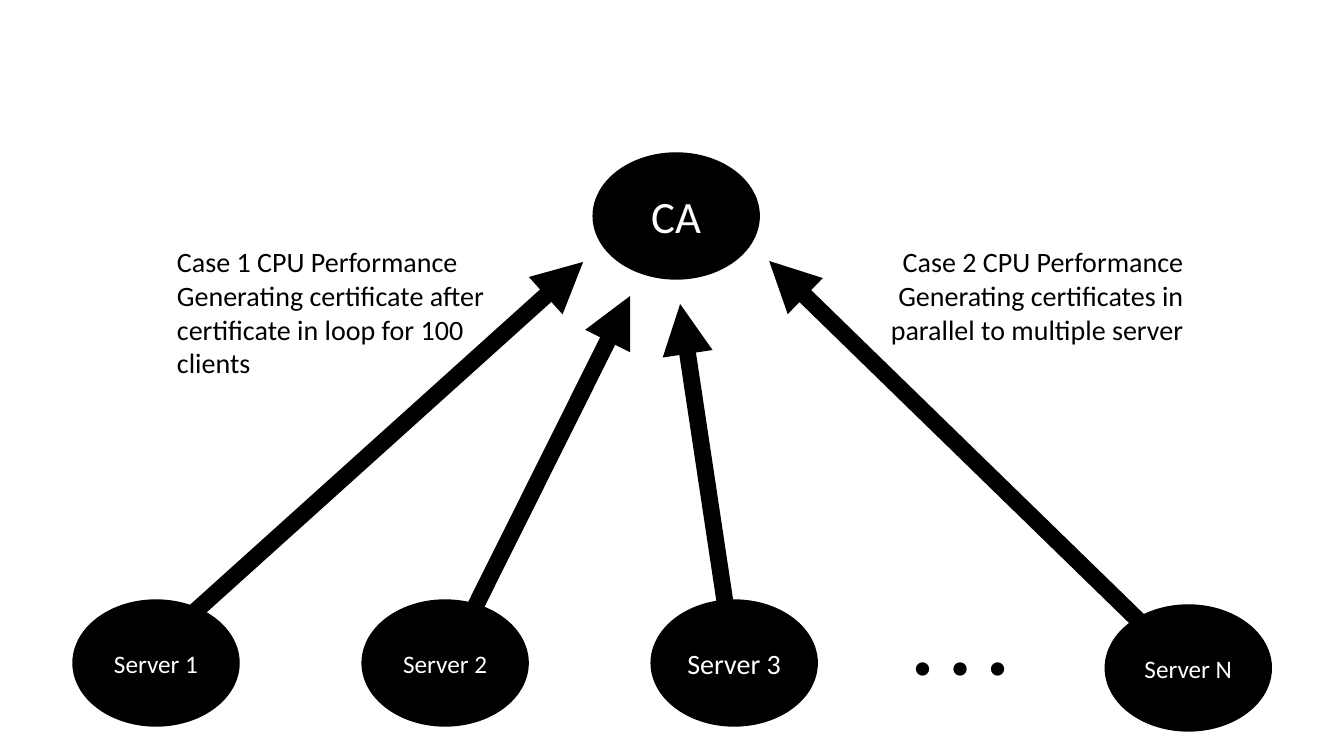
from lxml import etree
from pptx import Presentation
from pptx.dml.color import RGBColor
from pptx.enum.shapes import MSO_CONNECTOR, MSO_SHAPE
from pptx.enum.text import MSO_ANCHOR, MSO_AUTO_SIZE, PP_ALIGN
from pptx.oxml.ns import qn
from pptx.util import Emu, Inches, Pt

BLACK = RGBColor(0, 0, 0)
WHITE = RGBColor(255, 255, 255)
OVAL = MSO_SHAPE.OVAL
STRAIGHT = MSO_CONNECTOR.STRAIGHT
MIDDLE = MSO_ANCHOR.MIDDLE
GROW = MSO_AUTO_SIZE.SHAPE_TO_FIT_TEXT
LEFT, CENTER, RIGHT = PP_ALIGN.LEFT, PP_ALIGN.CENTER, PP_ALIGN.RIGHT

PIXELS_PER_INCH = 100.8
NODE_WIDTH, NODE_HEIGHT = 166, 126
SERVER_LEFT, SERVER_TOP, SERVER_STEP = 73, 600, 289
ARROWS = [
    ((159, 644), (583, 262)),
    ((445, 667), (630, 296)),
    ((734, 663), (680, 304)),
    ((1187, 668), (769, 261)),
]


def px(length):
    """Turn picture pixels into EMU."""
    return Emu(round(length * Inches(1) / PIXELS_PER_INCH))


def write(frame, text, size=20, color=BLACK, font="Calibri", align=LEFT):
    """Put one formatted paragraph into a text frame."""
    para = frame.paragraphs[0]
    para.text = text
    para.alignment = align
    for span in para.runs:
        span.font.name = font
        span.font.size = Pt(size)
        span.font.color.rgb = color


def add_node(page, left, top, text, size=18):
    """Add a black ellipse with a white label."""
    node = page.shapes.add_shape(
        OVAL, px(left), px(top), px(NODE_WIDTH), px(NODE_HEIGHT))
    node.shadow.inherit = False
    node.fill.solid()
    node.fill.fore_color.rgb = BLACK
    node.line.color.rgb = BLACK
    node.line.width = Pt(1)
    node.text_frame.vertical_anchor = MIDDLE
    write(node.text_frame, text, size=size, color=WHITE, align=CENTER)


def add_arrow(page, start, end):
    """Add a thick line with a triangle at its end."""
    arrow = page.shapes.add_connector(STRAIGHT, *map(px, start + end))
    arrow.line.color.rgb = BLACK
    arrow.line.width = Pt(12)
    outline = arrow.line._get_or_add_ln()
    etree.SubElement(outline, qn("a:tailEnd"), type="triangle")
    etree.SubElement(arrow._element.spPr, qn("a:effectLst"))


def add_text(page, left, top, width, height, text, wrap=True, **style):
    """Add a text box that grows with its text."""
    box = page.shapes.add_textbox(px(left), px(top), px(width), px(height))
    box.text_frame.word_wrap = wrap
    box.text_frame.auto_size = GROW
    write(box.text_frame, text, **style)


def main():
    """Build the certificate authority diagram and save it."""
    deck = Presentation()
    deck.slide_width, deck.slide_height = Inches(13.33), Inches(7.5)
    page = deck.slides.add_slide(deck.slide_layouts[6])

    for start, end in ARROWS:
        add_arrow(page, start, end)

    add_node(page, 593, 153, "CA", size=32)
    for index, size in enumerate((18, 18, 20)):
        add_node(page, SERVER_LEFT + index * SERVER_STEP, SERVER_TOP,
                 f"Server {index + 1}", size=size)
    add_node(page, 1105, 605, "Server N")

    add_text(page, 894, 558, 133, 146, "…", wrap=False, size=80,
             font="Times New Roman")
    add_text(page, 167, 240, 331, 146,
             "Case 1 CPU Performance\vGenerating certificate after "
             "certificate in loop for 100 clients")
    add_text(page, 862, 240, 331, 112,
             "Case 2 CPU Performance\vGenerating certificates in "
             "parallel to multiple server", align=RIGHT)

    deck.save("out.pptx")


main()
